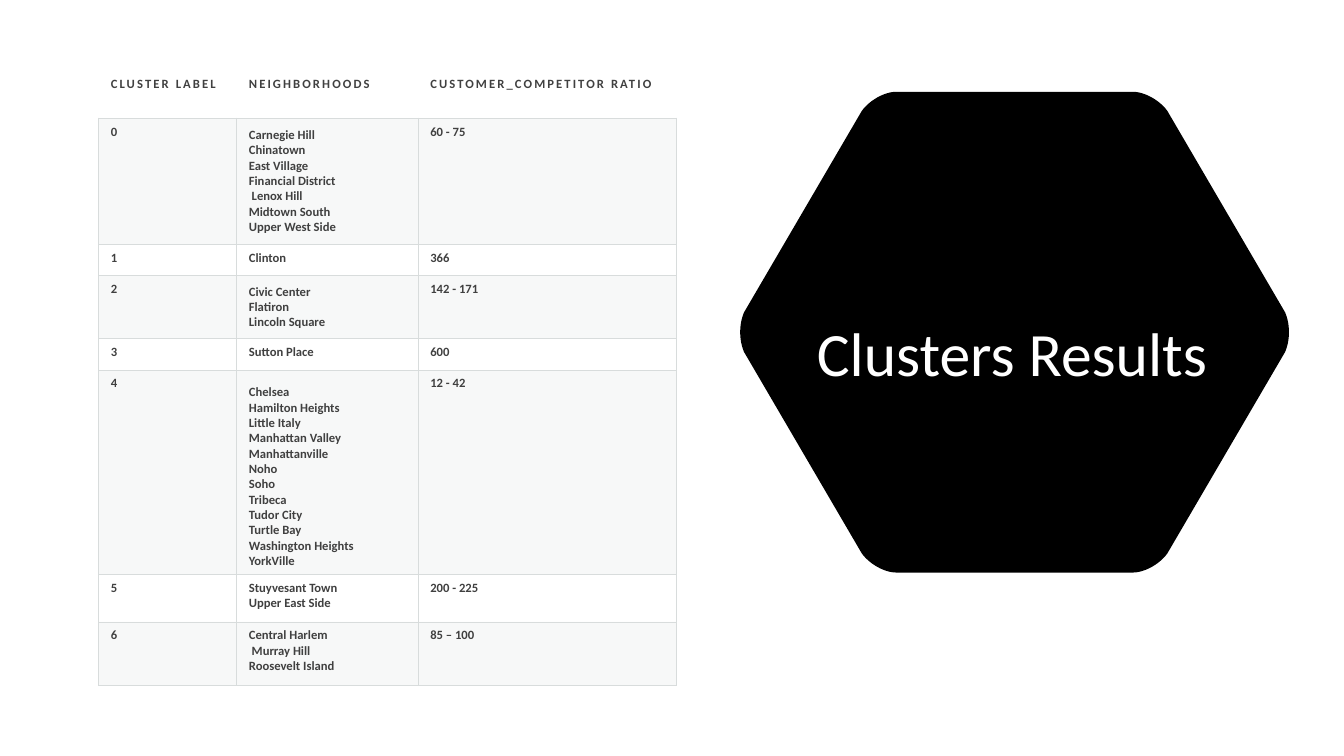
"""Build the slide of cluster results: a table beside a titled hexagon."""
import dataclasses
from typing import Any

import lxml.etree
import pptx
import pptx.dml.color
import pptx.dml.fill
import pptx.enum.text
import pptx.oxml.ns
import pptx.slide
import pptx.table
import pptx.text.text
import pptx.util

Point = tuple[float, float]

WIDE, HIGH = pptx.util.Inches(13.33), pptx.util.Inches(7.5)
COLS, ROWS = 96, 48
FONT = "Calibri"
BLACK, WHITE, GRAY, TINT, EDGE = "000000", "FFFFFF", "404040", "D8DEDC", "D8DCDC"
ANCHOR = pptx.enum.text.MSO_ANCHOR
ALIGN = pptx.enum.text.PP_ALIGN
HEADS = ("CLUSTER LABEL", "NEIGHBORHOODS", "CUSTOMER_COMPETITOR RATIO")
WIDTHS = (9.86, 12.96, 18.43)
CENTER = (72.47, 21.09)
UPPER = [(8.46, -15.26), (9.32, -15.26), (10.4, -14.69), (10.91, -14.05)]
RIGHT = [(19.33, -1.25), (19.69, -0.48), (19.69, 0.48), (19.33, 1.25)]
STEPS = 12


@dataclasses.dataclass(frozen=True)
class Cluster:
    """One cluster with its places and its ratio."""
    label: str
    places: tuple[str, ...]
    ratio: str
    anchor: Any = ANCHOR.TOP


CLUSTERS = (
    Cluster("0", ("Carnegie Hill", "Chinatown", "East Village", "Financial District",
                  " Lenox Hill", "Midtown South", "Upper West Side"), "60 - 75", ANCHOR.MIDDLE),
    Cluster("1", ("Clinton",), "366"),
    Cluster("2", ("Civic Center", "Flatiron", "Lincoln Square"), "142 - 171", ANCHOR.MIDDLE),
    Cluster("3", ("Sutton Place",), "600"),
    Cluster("4", ("Chelsea", "Hamilton Heights", "Little Italy", "Manhattan Valley",
                  "Manhattanville", "Noho", "Soho", "Tribeca", "Tudor City", "Turtle Bay",
                  "Washington Heights", "YorkVille"), "12 - 42", ANCHOR.BOTTOM),
    Cluster("5", ("Stuyvesant Town", "Upper East Side"), "200 - 225"),
    Cluster("6", ("Central Harlem", " Murray Hill", "Roosevelt Island"), "85 – 100"),
)


def col(count: float) -> int:
    """Turn grid columns into a length."""
    return pptx.util.Emu(round(WIDE * count / COLS))


def row(count: float) -> int:
    """Turn grid rows into a length."""
    return pptx.util.Emu(round(HIGH * count / ROWS))


def tone(code: str) -> pptx.dml.color.RGBColor:
    """Turn a hex string into a colour."""
    return pptx.dml.color.RGBColor.from_string(code)


def apply(target: Any, values: dict[str, Any]) -> None:
    """Set each named value on the target."""
    for name, value in values.items():
        setattr(target, name, value)


def paint(fill: pptx.dml.fill.FillFormat, code: str) -> None:
    """Give a fill one solid colour."""
    fill.solid()
    fill.fore_color.rgb = tone(code)


def write(frame: pptx.text.text.TextFrame, lines: tuple[str, ...], code: str,
          style: dict[str, Any], layout: dict[str, Any], space: float = 0) -> None:
    """Write one paragraph for each line."""
    for index, line in enumerate(lines):
        para = frame.add_paragraph() if index else frame.paragraphs[0]
        apply(para, layout)
        run = para.add_run()
        run.text = line
        apply(run.font, {"name": FONT, **style})
        run.font.color.rgb = tone(code)
        if space:
            run.font._element.set("spc", str(round(space * 100)))


def border(cell: pptx.table._Cell, shown: str) -> None:
    """Draw the shown sides of a cell and clear the others."""
    props = cell._tc.get_or_add_tcPr()
    qn = pptx.oxml.ns.qn
    for index, side in enumerate("LRTB"):
        line = lxml.etree.Element(qn(f"a:ln{side}"), w=str(pptx.util.Pt(0.75)))
        if side in shown:
            solid = lxml.etree.SubElement(line, qn("a:solidFill"))
            lxml.etree.SubElement(solid, qn("a:srgbClr"), val=EDGE)
        else:
            lxml.etree.SubElement(line, qn("a:noFill"))
        props.insert(index, line)


def shade(cell: pptx.table._Cell) -> None:
    """Fill a cell with a tint of one fifth strength."""
    paint(cell.fill, TINT)
    for color in cell._tc.tcPr.iter(pptx.oxml.ns.qn("a:srgbClr")):
        lxml.etree.SubElement(color, pptx.oxml.ns.qn("a:alpha"), val="20000")


def table(slide: pptx.slide.Slide) -> None:
    """Draw the table, each row one grid row taller than its text."""
    cells = [tuple((head,) for head in HEADS)]
    cells += [((item.label,), item.places, (item.ratio,)) for item in CLUSTERS]
    spans = [3] + [len(item.places) + 1 for item in CLUSTERS]
    grid = slide.shapes.add_table(len(cells), len(HEADS), col(7.06), row(4.5),
                                  col(sum(WIDTHS)), row(sum(spans))).table
    apply(grid, {"first_row": False, "horz_banding": False})
    for part, width in zip(grid.columns, WIDTHS):
        part.width = col(width)
    for y, (texts, span) in enumerate(zip(cells, spans)):
        grid.rows[y].height = row(span)
        for x, lines in enumerate(texts):
            cell = grid.cell(y, x)
            anchor = CLUSTERS[y - 1].anchor if y and x == 1 else ANCHOR.TOP
            apply(cell, {"margin_left": col(0.86), "margin_right": col(0.36),
                         "margin_top": row(0.38), "margin_bottom": row(0.38),
                         "vertical_anchor": anchor})
            if y % 2:
                shade(cell)
            else:
                cell.fill.background()
            border(cell, "LRTB" if y else "B")
            write(cell.text_frame, lines, GRAY, {"size": pptx.util.Pt(9), "bold": True},
                  {}, 0 if y else 1.5)


def curve(knots: list[Point]) -> list[Point]:
    """Sample a cubic curve at equal steps."""
    points = []
    for step in range(STEPS + 1):
        t = step / STEPS
        parts = ((1 - t) ** 3, 3 * t * (1 - t) ** 2, 3 * t ** 2 * (1 - t), t ** 3)
        points.append((sum(p * k[0] for p, k in zip(parts, knots)),
                       sum(p * k[1] for p, k in zip(parts, knots))))
    return points


def hexagon(slide: pptx.slide.Slide) -> None:
    """Draw the hexagon with round corners, half of it by symmetry."""
    lower = [(x, -y) for x, y in reversed(UPPER)]
    half = curve(UPPER) + curve(RIGHT) + curve(lower)
    ring = half + [(-x, -y) for x, y in half]
    points = [(col(CENTER[0] + x), row(CENTER[1] + y)) for x, y in ring]
    pen = slide.shapes.build_freeform(*points[0])
    pen.add_line_segments(points[1:], close=True)
    shape = pen.convert_to_shape()
    shape.shadow.inherit = False
    paint(shape.fill, BLACK)
    shape.line.fill.background()


def title(slide: pptx.slide.Slide) -> None:
    """Write the title on the hexagon."""
    frame = slide.shapes.add_textbox(col(57.1), row(12.54), col(30.38), row(12.54)).text_frame
    apply(frame, {"word_wrap": True, "vertical_anchor": ANCHOR.BOTTOM})
    write(frame, ("Clusters Results",), WHITE, {"size": pptx.util.Pt(44)},
          {"alignment": ALIGN.CENTER, "line_spacing": 0.9})


def main() -> None:
    """Build and save the slide."""
    deck = pptx.Presentation()
    apply(deck, {"slide_width": WIDE, "slide_height": HIGH})
    slide = deck.slides.add_slide(deck.slide_layouts[6])
    paint(slide.background.fill, WHITE)
    hexagon(slide)
    title(slide)
    table(slide)
    deck.save("out.pptx")


if __name__ == "__main__":
    main()
